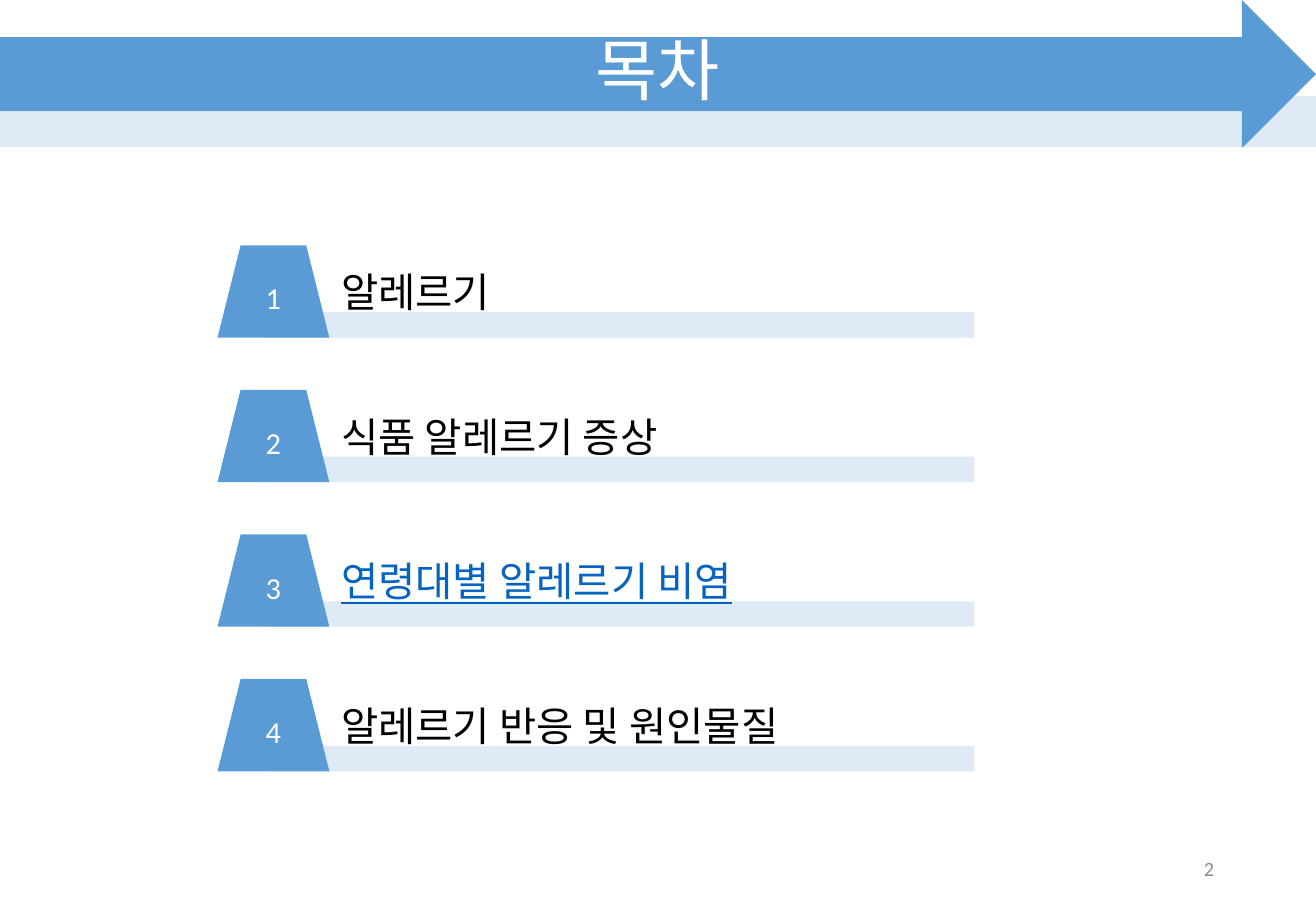
import lxml.etree
import pptx
import pptx.dml.color
import pptx.enum.shapes
import pptx.enum.text
import pptx.oxml.ns
import pptx.util

Inches = pptx.util.Inches
Shape = pptx.enum.shapes.MSO_SHAPE
Align = pptx.enum.text.PP_ALIGN
Anchor = pptx.enum.text.MSO_ANCHOR

COLORS = {
    "blue": "5B9BD5",
    "pale": "DEEBF7",
    "white": "FFFFFF",
    "black": "000000",
    "link": "0563C1",
    "gray": "8C8C8C",
}
LATIN = "Calibri"
KOREAN = "Noto Sans CJK KR"
SLIDE_WIDTH = 10.83
HEADER_HEIGHT = 1.22
FIRST_TOP = 2.02
ROW_STEP = 1.19
TOPICS = [
    ("알레르기", "black"),
    ("식품 알레르기 증상", "black"),
    ("연령대별 알레르기 비염", "link"),
    ("알레르기 반응 및 원인물질", "black"),
]


class ContentsSlide:
    """Draws the styled elements of the contents slide."""

    def __init__(self, presentation):
        self.slide = presentation.slides.add_slide(presentation.slide_layouts[6])

    def color(self, name):
        return pptx.dml.color.RGBColor.from_string(COLORS[name])

    def block(self, kind, left, top, width, height, fill):
        shape = self.slide.shapes.add_shape(
            kind, Inches(left), Inches(top), Inches(width), Inches(height))
        shape.shadow.inherit = False
        shape.fill.solid()
        shape.fill.fore_color.rgb = self.color(fill)
        shape.line.fill.background()
        return shape

    def set_text(self, shape, text, size, color, font, align, anchor=Anchor.MIDDLE):
        frame = shape.text_frame
        frame.word_wrap = True
        frame.vertical_anchor = anchor
        paragraph = frame.paragraphs[0]
        paragraph.text = text
        paragraph.alignment = align
        paragraph.font.size = pptx.util.Pt(size)
        paragraph.font.color.rgb = self.color(color)
        paragraph.font.name = font
        properties = paragraph._p.pPr.find(pptx.oxml.ns.qn("a:defRPr"))
        lxml.etree.SubElement(properties, pptx.oxml.ns.qn("a:ea"), typeface=font)
        return paragraph

    def label(self, left, top, width, height, *style):
        box = self.slide.shapes.add_textbox(
            Inches(left), Inches(top), Inches(width), Inches(height))
        return self.set_text(box, *style)

    def header(self, title):
        self.block(Shape.RECTANGLE, 0, 0.79, SLIDE_WIDTH, 0.42, "pale")
        self.block(Shape.RIGHT_ARROW, 0, 0, SLIDE_WIDTH, HEADER_HEIGHT, "blue")
        paragraph = self.label(0, 0, SLIDE_WIDTH, HEADER_HEIGHT,
                               title, 40, "white", KOREAN, Align.CENTER)
        paragraph.line_spacing = 0.9

    def topic(self, number, text, color, top):
        self.block(Shape.RECTANGLE, 2.19, top + 0.55, 5.83, 0.21, "pale")
        badge = self.block(Shape.TRAPEZOID, 1.79, top, 0.92, 0.76, "blue")
        self.set_text(badge, str(number), 18, "white", LATIN, Align.CENTER)
        paragraph = self.label(2.71, top + 0.13, 5, 0.5,
                               text, 24, color, KOREAN, Align.LEFT, Anchor.TOP)
        if color == "link":
            paragraph.font.underline = True

    def page_number(self, number):
        self.label(7.65, 6.95, 2.44, 0.4, str(number), 12, "gray", LATIN, Align.RIGHT)


def main():
    presentation = pptx.Presentation()
    presentation.slide_width = Inches(SLIDE_WIDTH)
    presentation.slide_height = Inches(7.5)
    contents = ContentsSlide(presentation)
    contents.header("목차")
    for index, (text, color) in enumerate(TOPICS):
        contents.topic(index + 1, text, color, FIRST_TOP + index * ROW_STEP)
    contents.page_number(2)
    presentation.save("out.pptx")


if __name__ == "__main__":
    main()
